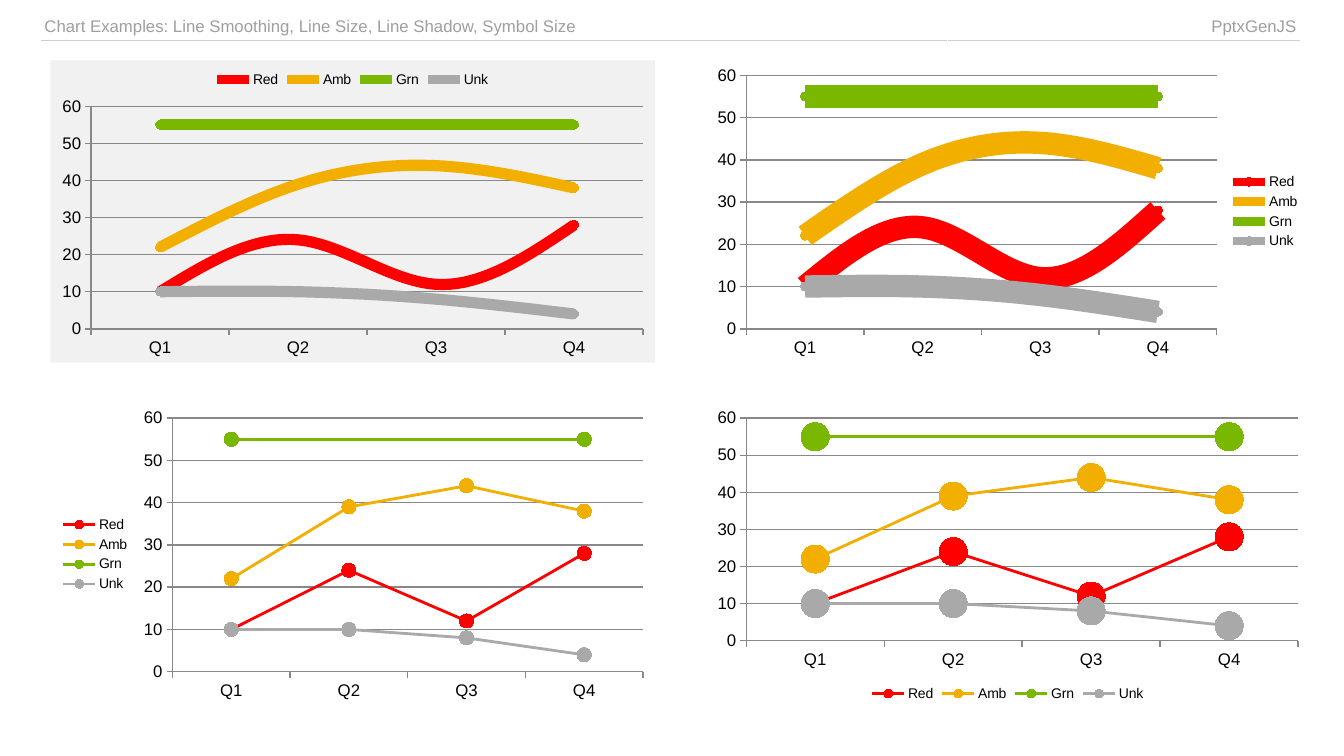
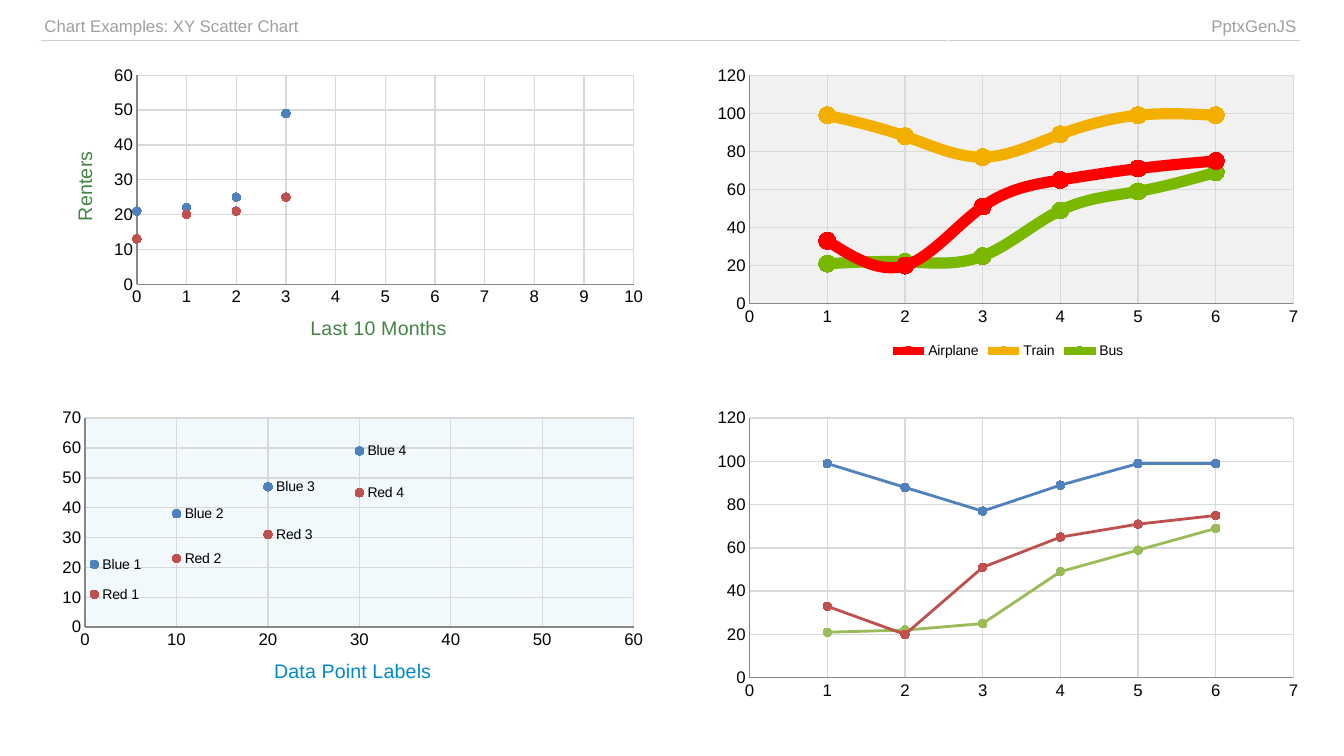
from pptx import Presentation
from pptx.chart.data import CategoryChartData, XyChartData
from pptx.dml.color import RGBColor
from pptx.enum.chart import (XL_CHART_TYPE, XL_LABEL_POSITION, XL_LEGEND_POSITION,
                             XL_MARKER_STYLE, XL_TICK_LABEL_POSITION, XL_TICK_MARK)
from pptx.enum.shapes import MSO_SHAPE
from pptx.enum.text import PP_ALIGN
from pptx.oxml import parse_xml
from pptx.oxml.ns import nsdecls
from pptx.util import Cm, Pt

LINE = XL_CHART_TYPE.LINE_MARKERS
SCATTER = XL_CHART_TYPE.XY_SCATTER
SCATTER_SMOOTH = XL_CHART_TYPE.XY_SCATTER_SMOOTH
SCATTER_LINES = XL_CHART_TYPE.XY_SCATTER_LINES
TOP, RIGHT = XL_LEGEND_POSITION.TOP, XL_LEGEND_POSITION.RIGHT
LEFT, BOTTOM = XL_LEGEND_POSITION.LEFT, XL_LEGEND_POSITION.BOTTOM
LABEL_RIGHT = XL_LABEL_POSITION.RIGHT
CIRCLE = XL_MARKER_STYLE.CIRCLE
LABELS_LOW = XL_TICK_LABEL_POSITION.LOW
TICK_OUT, TICK_NONE = XL_TICK_MARK.OUTSIDE, XL_TICK_MARK.NONE
RECTANGLE = MSO_SHAPE.RECTANGLE
ALIGN_LEFT, ALIGN_RIGHT = PP_ALIGN.LEFT, PP_ALIGN.RIGHT

BLACK = RGBColor(0x00, 0x00, 0x00)
HEADER_GRAY = RGBColor(0x9F, 0x9F, 0x9F)
RULE_GRAY = RGBColor(0xCF, 0xCF, 0xCF)
AXIS_GRAY = RGBColor(0x88, 0x88, 0x88)
GRID_GRAY = RGBColor(0xD9, 0xD9, 0xD9)
PANEL_GRAY = RGBColor(0xF1, 0xF1, 0xF1)
PALE_BLUE = RGBColor(0xF2, 0xF9, 0xFC)
TITLE_GREEN = RGBColor(0x42, 0x84, 0x42)
TITLE_BLUE = RGBColor(0x00, 0x88, 0xCC)
RED = RGBColor(0xFF, 0x00, 0x00)
AMBER = RGBColor(0xF2, 0xAF, 0x00)
GREEN = RGBColor(0x7A, 0xB8, 0x00)
UNKNOWN_GRAY = RGBColor(0xA9, 0xA9, 0xA9)
BRICK = RGBColor(0xC0, 0x50, 0x4D)
STEEL = RGBColor(0x4F, 0x81, 0xBD)
OLIVE = RGBColor(0x9B, 0xBB, 0x59)

FONT = "Arial"
STATUS_COLORS = (RED, AMBER, GREEN, UNKNOWN_GRAY)
DEFAULT_COLORS = (BRICK, STEEL, OLIVE)

QUARTERS = ("Q1", "Q2", "Q3", "Q4")
STATUS = {
    "Red": (10, 24, 12, 28),
    "Amb": (22, 39, 44, 38),
    "Grn": (55, None, None, 55),
    "Unk": (10, 10, 8, 4),
}
MONTHS = tuple(range(10))
RENTERS = {
    "Series 1": (13, 20, 21, 25) + (None,) * 6,
    "Series 2": (21, 22, 25, 49) + (None,) * 6,
}
TRIP_X = tuple(range(1, 7))
TRIPS = {
    "Airplane": (33, 20, 51, 65, 71, 75),
    "Train": (99, 88, 77, 89, 99, 99),
    "Bus": (21, 22, 25, 49, 59, 69),
}
PLAIN_TRIPS = {f"Series {i}": values for i, values in enumerate(TRIPS.values(), 1)}
LABELED_X = (1, 10, 20, 30, 40, 50)
LABELED = {
    "Y-Value 1": (11, 23, 31, 45, None, None),
    "Y-Value 2": (21, 38, 47, 59, None, None),
}


def style_font(font, size, color):
    font.name = FONT
    font.size = Pt(size)
    font.bold = False
    font.color.rgb = color


def write(frame, text, size=12, color=BLACK, align=None):
    paragraph = frame.paragraphs[0]
    if align is not None:
        paragraph.alignment = align
    run = paragraph.add_run()
    run.text = text
    style_font(run.font, size, color)


def style_line(line, color, width):
    line.color.rgb = color
    line.width = Pt(width)


def area_format(fill=None):
    paint = f'<a:solidFill><a:srgbClr val="{fill}"/></a:solidFill>' if fill else "<a:noFill/>"
    return parse_xml(f'<c:spPr {nsdecls("c", "a")}>{paint}<a:ln><a:noFill/></a:ln></c:spPr>')


def category_data(categories, table):
    data = CategoryChartData()
    data.categories = categories
    for name, values in table.items():
        data.add_series(name, values)
    return data


def xy_data(xs, table):
    data = XyChartData()
    for name, ys in table.items():
        series = data.add_series(name)
        for x, y in zip(xs, ys):
            series.add_data_point(x, y)
    return data


class Deck:
    def __init__(self):
        self.prs = Presentation()
        self.prs.slide_width = Cm(33.87)
        self.prs.slide_height = Cm(19.05)
        self.slide = None

    def add_slide(self, title):
        self.slide = self.prs.slides.add_slide(self.prs.slide_layouts[6])
        self.header(title, "PptxGenJS")

    def header(self, title, library):
        table = self.slide.shapes.add_table(1, 2, Cm(1.02), Cm(0.33), Cm(31.75), Cm(0.69)).table
        table.first_row = table.horz_banding = False
        columns = ((title, 22.86, ALIGN_LEFT), (library, 8.89, ALIGN_RIGHT))
        for index, (text, width, align) in enumerate(columns):
            table.columns[index].width = Cm(width)
            cell = table.cell(0, index)
            cell.margin_left = cell.margin_right = Cm(0.1)
            cell.margin_top = cell.margin_bottom = Cm(0.1)
            cell.fill.background()
            write(cell.text_frame, text, color=HEADER_GRAY, align=align)
            cell._tc.get_or_add_tcPr().insert(0, parse_xml(
                f'<a:lnB {nsdecls("a")} w="{Pt(1)}"><a:solidFill>'
                f'<a:srgbClr val="{RULE_GRAY}"/></a:solidFill></a:lnB>'))

    def quadrant(self, column, row):
        return Cm(1.27 + 16.51 * column), Cm(1.52 + 8.64 * row), Cm(15.24), Cm(7.62)

    def panel(self, column, row):
        panel = self.slide.shapes.add_shape(RECTANGLE, *self.quadrant(column, row))
        panel.shadow.inherit = False
        panel.fill.solid()
        panel.fill.fore_color.rgb = PANEL_GRAY
        panel.line.fill.background()

    def axis(self, axis, tick, grid=None, title=None, title_color=None, rotation=0):
        axis.major_tick_mark = tick
        axis.minor_tick_mark = TICK_NONE
        style_line(axis.format.line, AXIS_GRAY, 1)
        style_font(axis.tick_labels.font, 12, BLACK)
        axis.has_major_gridlines = grid is not None
        if grid is not None:
            style_line(axis.major_gridlines.format.line, grid, 1)
        axis.has_title = title is not None
        if title is not None:
            frame = axis.axis_title.text_frame
            write(frame, title, size=14, color=title_color)
            body = frame._txBody.bodyPr
            body.set("rot", str(rotation * 60000))
            body.set("vert", "horz")

    def series(self, series, color, width, marker_size, smooth):
        line = series.format.line
        if width:
            style_line(line, color, width)
        else:
            line.fill.background()
        marker = series.marker
        marker.style = CIRCLE
        marker.size = marker_size
        marker.format.fill.solid()
        marker.format.fill.fore_color.rgb = color
        marker.format.line.color.rgb = color
        series._element.get_or_add_smooth().val = smooth

    def chart(self, kind, data, cell, colors, width=None, marker=6, smooth=False,
              legend=None, plot_fill=None):
        chart = self.slide.shapes.add_chart(kind, *self.quadrant(*cell), data).chart
        style_font(chart.font, 10, BLACK)
        chart.has_title = False
        chart.has_legend = legend is not None
        if legend is not None:
            chart.legend.position = legend
            chart.legend.include_in_layout = False
        plot = chart.plots[0]
        plot.vary_by_categories = False
        for series, color in zip(plot.series, colors):
            self.series(series, color, width, marker, smooth)
        space = chart._chartSpace
        space.xpath("c:chart")[0].addnext(area_format())
        space.xpath("c:chart/c:plotArea")[0].append(area_format(plot_fill))
        for blanks in space.xpath("c:chart/c:dispBlanksAs"):
            blanks.set("val", "span")
        return chart

    def line_chart(self, cell, **style):
        chart = self.chart(LINE, category_data(QUARTERS, STATUS), cell, STATUS_COLORS, **style)
        self.axis(chart.category_axis, TICK_OUT)
        chart.category_axis.tick_label_position = LABELS_LOW
        self.axis(chart.value_axis, TICK_OUT, AXIS_GRAY)

    def scatter_chart(self, kind, xs, table, cell, colors=DEFAULT_COLORS, x_title=None,
                      y_title=None, title_color=None, **style):
        chart = self.chart(kind, xy_data(xs, table), cell, colors, **style)
        self.axis(chart.category_axis, TICK_NONE, GRID_GRAY, x_title, title_color)
        self.axis(chart.value_axis, TICK_NONE, GRID_GRAY, y_title, title_color, -90)
        return chart

    def point_labels(self, chart, names):
        for series, name in zip(chart.plots[0].series, names):
            for index in range(4):
                label = series.points[index].data_label
                write(label.text_frame, f"{name} {index + 1}", size=10)
                label.position = LABEL_RIGHT


def main():
    deck = Deck()

    deck.add_slide("Chart Examples: Line Smoothing, Line Size, Line Shadow, Symbol Size")
    deck.panel(0, 0)
    deck.line_chart((0, 0), width=8, smooth=True, legend=TOP)
    deck.line_chart((1, 0), width=16, smooth=True, legend=RIGHT)
    deck.line_chart((0, 1), width=2, marker=10, legend=LEFT)
    deck.line_chart((1, 1), width=2, marker=20, legend=BOTTOM)

    deck.add_slide("Chart Examples: XY Scatter Chart")
    deck.scatter_chart(SCATTER, MONTHS, RENTERS, (0, 0), x_title="Last 10 Months",
                       y_title="Renters", title_color=TITLE_GREEN)
    deck.scatter_chart(SCATTER_SMOOTH, TRIP_X, TRIPS, (1, 0), STATUS_COLORS, width=8,
                       marker=12, smooth=True, legend=BOTTOM, plot_fill=PANEL_GRAY)
    labeled = deck.scatter_chart(SCATTER, LABELED_X, LABELED, (0, 1), plot_fill=PALE_BLUE,
                                 x_title="Data Point Labels", title_color=TITLE_BLUE)
    deck.point_labels(labeled, ("Red", "Blue"))
    deck.scatter_chart(SCATTER_LINES, TRIP_X, PLAIN_TRIPS, (1, 1), width=2)

    deck.prs.save("out.pptx")


if __name__ == "__main__":
    main()
